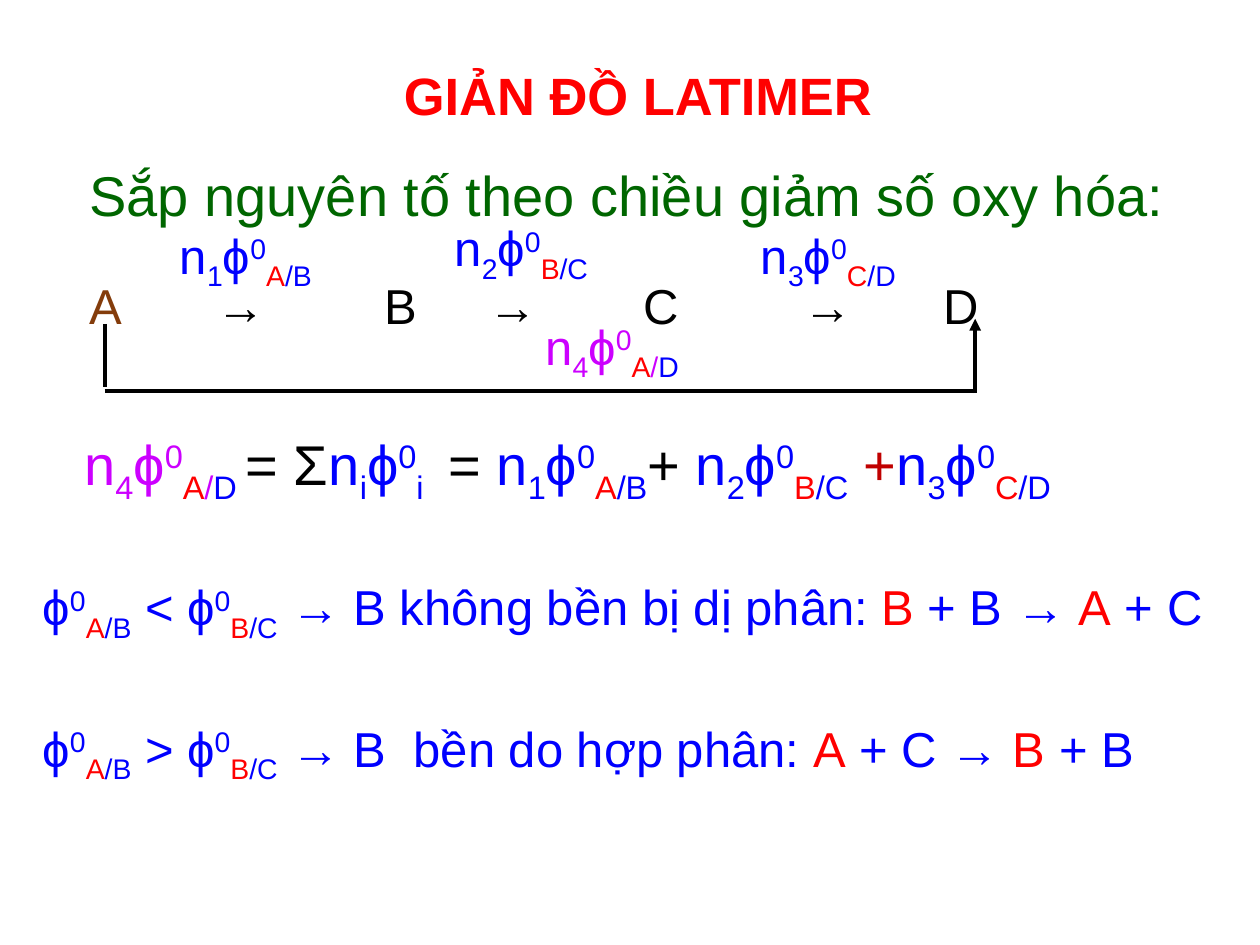
from lxml import etree
from pptx import Presentation
from pptx.dml.color import RGBColor
from pptx.enum.shapes import MSO_CONNECTOR
from pptx.enum.text import MSO_ANCHOR, MSO_AUTO_SIZE, PP_ALIGN
from pptx.oxml.ns import qn
from pptx.util import Inches, Pt

STRAIGHT = MSO_CONNECTOR.STRAIGHT
TOP = MSO_ANCHOR.TOP
NO_FIT = MSO_AUTO_SIZE.NONE
CENTER = PP_ALIGN.CENTER

RED = RGBColor(0xFF, 0x00, 0x00)
DARK_RED = RGBColor(0xC0, 0x00, 0x00)
BLUE = RGBColor(0x00, 0x00, 0xFF)
PURPLE = RGBColor(0xCC, 0x00, 0xFF)
GREEN = RGBColor(0x00, 0x66, 0x00)
BROWN = RGBColor(0x84, 0x3C, 0x0B)
BLACK = RGBColor(0x00, 0x00, 0x00)

FONT = "Arial"
SUB, NORMAL, SUPER = -25, 0, 30

CHAIN = [
    ("A", 0.61, BROWN), ("→", 1.62, BLACK), ("B", 2.95, BLACK), ("→", 3.78, BLACK),
    ("C", 5.01, BLACK), ("→", 6.28, BLACK), ("D", 7.39, BLACK),
]


def phi(oxidised, reduced, color=BLUE):
    return [("ϕ", color, NORMAL), ("0", color, SUPER), (oxidised, RED, SUB),
            ("/", color, SUB), (reduced, BLUE, SUB)]


def potential(number, oxidised, reduced, color=BLUE):
    return [("n", color, NORMAL), (number, color, SUB)] + phi(oxidised, reduced, color)


def add_spans(para, spans, size, bold=False):
    for text, color, baseline in spans:
        span = para.add_run()
        span.text = text
        span.font.name = FONT
        span.font.size = Pt(size)
        span.font.bold = bold
        span.font.color.rgb = color
        if baseline:
            span._r.get_or_add_rPr().set("baseline", str(baseline * 1000))


def place(shape, left, top, width, height):
    shape.left, shape.top = Inches(left), Inches(top)
    shape.width, shape.height = Inches(width), Inches(height)
    shape.text_frame.auto_size = NO_FIT
    shape.text_frame.vertical_anchor = TOP


def add_title(page):
    title = page.shapes.title
    place(title, 0.1, 0.14, 9.93, 1.45)
    title.text_frame.margin_top = Inches(0.11)
    para = title.text_frame.paragraphs[0]
    para.alignment = CENTER
    para.line_spacing = 1.5
    add_spans(para, [("GIẢN ĐỒ LATIMER", RED, NORMAL)], 30, bold=True)


def add_heading(page):
    body = page.placeholders[1]
    place(body, 0.61, 0.96, 9.29, 2.95)
    para = body.text_frame.paragraphs[0]
    para.line_spacing = 1.5
    para.space_before = Pt(7.5)
    properties = para._p.get_or_add_pPr()
    properties.set("marL", "0")
    properties.set("indent", "0")
    etree.SubElement(properties, qn("a:buNone"))
    add_spans(para, [("Sắp nguyên tố theo chiều giảm số oxy hóa:", GREEN, NORMAL)], 32)


def add_formula(page, left, top, width, spans, size=28):
    box = page.shapes.add_textbox(0, 0, 0, 0)
    place(box, left, top, width, 0.57)
    box.text_frame.word_wrap = True
    add_spans(box.text_frame.paragraphs[0], spans, size)


def add_chain(page):
    for symbol, left, color in CHAIN:
        add_formula(page, left, 2.14, 0.65, [(symbol, color, NORMAL)])


def add_line(page, start, end, arrow=False):
    points = [Inches(value) for value in start + end]
    line = page.shapes.add_connector(STRAIGHT, *points)
    line.line.color.rgb = BLACK
    line.line.width = Pt(2.25)
    if arrow:
        etree.SubElement(line.line._get_or_add_ln(), qn("a:tailEnd"), type="triangle")
    etree.SubElement(line._element.spPr, qn("a:effectLst"))


def add_bracket(page):
    add_line(page, (7.74, 3.12), (7.74, 2.53), arrow=True)
    add_line(page, (0.83, 2.57), (0.83, 3.07))
    add_line(page, (0.83, 3.1), (7.75, 3.1))


def add_sum(page):
    spans = (
        potential("4", "A", "D", PURPLE)
        + [(" ", BLUE, SUB), ("= Σ", BLACK, NORMAL), ("n", BLUE, NORMAL),
           ("i", BLUE, SUB), ("ϕ", BLUE, NORMAL), ("0", BLUE, SUPER),
           ("i ", BLUE, SUB), (" = ", BLACK, NORMAL)]
        + potential("1", "A", "B")
        + [("+ ", BLACK, NORMAL)]
        + potential("2", "B", "C")
        + [(" +", DARK_RED, NORMAL)]
        + potential("3", "C", "D")
    )
    add_formula(page, 0.57, 3.36, 9.54, spans, 32)


def add_rule(page, top, sign, verdict, reaction):
    spans = phi("A", "B") + [(f" {sign} ", BLUE, NORMAL)] + phi("B", "C")
    spans.append((f" → B {verdict}: ", BLUE, NORMAL))
    for text, color in zip(reaction, (RED, BLUE, RED, BLUE)):
        spans.append((text, color, NORMAL))
    add_formula(page, 0.24, top, 9.64, spans)


def main():
    deck = Presentation()
    deck.slide_width, deck.slide_height = Inches(10), Inches(7.5)
    page = deck.slides.add_slide(deck.slide_layouts[1])
    add_title(page)
    add_heading(page)
    add_chain(page)
    add_bracket(page)
    add_formula(page, 1.33, 1.74, 1.42, potential("1", "A", "B"))
    add_formula(page, 3.51, 1.68, 1.53, potential("2", "B", "C"))
    add_formula(page, 5.94, 1.74, 1.53, potential("3", "C", "D"))
    add_formula(page, 4.23, 2.46, 3.22, potential("4", "A", "D", PURPLE))
    add_sum(page)
    add_rule(page, 4.53, "<", "không bền bị dị phân", ("B", " + B → ", "A", " + C"))
    add_rule(page, 5.65, ">", " bền do hợp phân", ("A", " + C → ", "B", " + B"))
    deck.save("out.pptx")


if __name__ == "__main__":
    main()
